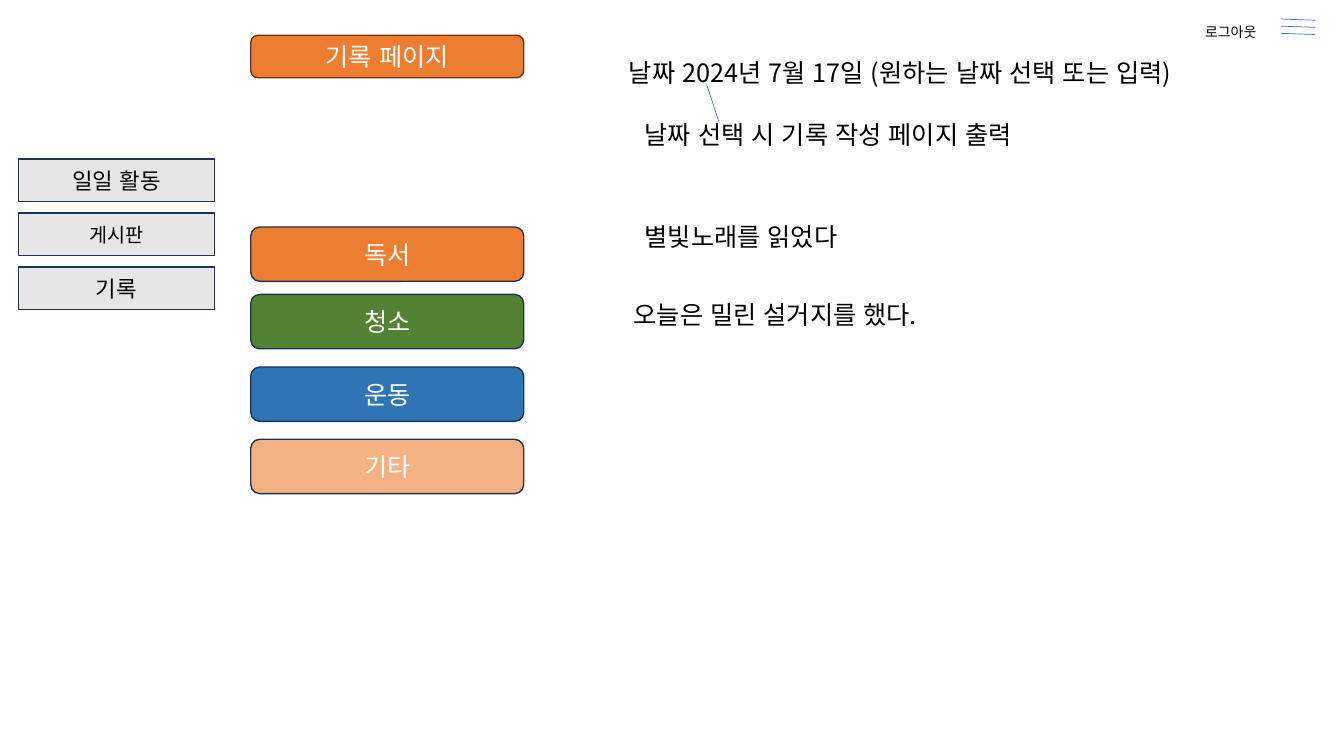
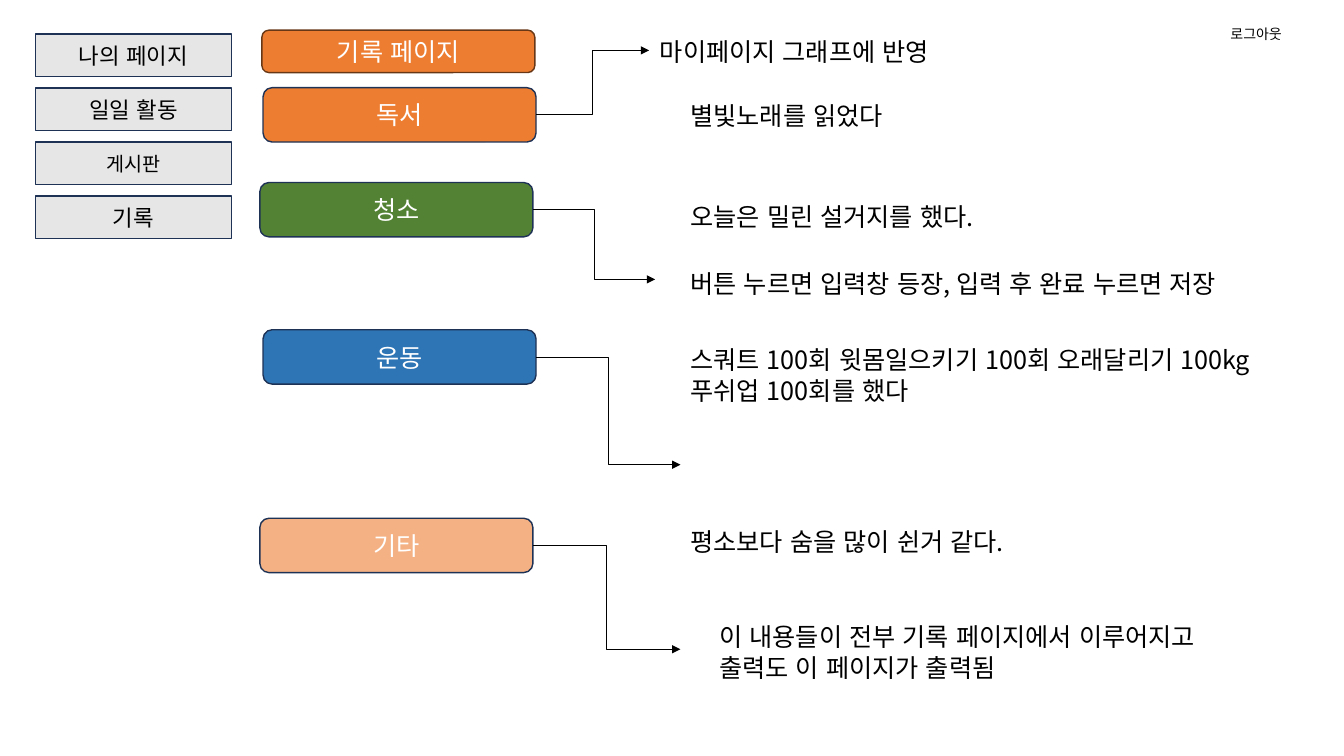
from dataclasses import dataclass

from lxml import etree
from pptx import Presentation
from pptx.dml.color import RGBColor
from pptx.enum import lang, shapes, text
from pptx.oxml import ns
from pptx.util import Cm, Pt


# Colours, type sizes and shared dimensions (cm)
@dataclass(frozen=True)
class Theme:
    font: str = "Noto Sans CJK KR"
    ink: str = "000000"
    white: str = "FFFFFF"
    gray: str = "E7E6E6"
    navy: str = "1E3256"
    brown: str = "683715"
    orange: str = "ED7D31"
    green: str = "548235"
    blue: str = "2E75B6"
    peach: str = "F4B183"
    accent: str = "4472C4"
    tiny: int = 10
    small: int = 14
    menu: int = 16
    main: int = 18
    tab: tuple = (4.95, 1.07)
    head: tuple = (6.88, 1.07)
    card: tuple = (6.88, 1.37)
    step: float = 1.36


T = Theme()
RECT = shapes.MSO_SHAPE.RECTANGLE
ROUND = shapes.MSO_SHAPE.ROUNDED_RECTANGLE
CARDS = {"독서": T.orange, "청소": T.green, "운동": T.blue, "기타": T.peach}
MENU = {"나의 페이지": T.menu, "일일 활동": T.menu,
        "게시판": T.small, "기록": T.menu}


def rgb(code):
    return RGBColor.from_string(code)


def sub(node, tag, **attrs):
    return etree.SubElement(node, ns.qn(tag), attrs)


# Text
def write(shape, words, size=T.main, color=T.ink, center=False):
    frame = shape.text_frame
    frame.word_wrap = True
    frame.vertical_anchor = (text.MSO_ANCHOR.MIDDLE if center
                             else text.MSO_ANCHOR.TOP)
    for i, line in enumerate(words.split("\n")):
        para = frame.add_paragraph() if i else frame.paragraphs[0]
        para.alignment = text.PP_ALIGN.CENTER if center else text.PP_ALIGN.LEFT
        run = para.add_run()
        run.text = line
        font = run.font
        font.size, font.name = Pt(size), T.font
        font.color.rgb = rgb(color)
        font.language_id = lang.MSO_LANGUAGE_ID.KOREAN
        sub(run._r.get_or_add_rPr(), "a:ea", typeface=T.font)


def note(slide, words, x, y, w, size=T.main):
    box = slide.shapes.add_textbox(Cm(x), Cm(y), Cm(w), Cm(1.02))
    write(box, words, size=size)
    box.text_frame.auto_size = text.MSO_AUTO_SIZE.SHAPE_TO_FIT_TEXT


# Boxes
def block(slide, kind, x, y, dims, fill, line=T.navy):
    box = slide.shapes.add_shape(kind, Cm(x), Cm(y), *map(Cm, dims))
    box.shadow.inherit = False
    box.fill.solid()
    box.fill.fore_color.rgb = rgb(fill)
    box.line.color.rgb = rgb(line)
    box.line.width = Pt(1)
    return box


def title(slide, x, y):
    block(slide, ROUND, x, y, T.head, T.orange, T.brown)
    head = slide.shapes.title
    head.left, head.top = Cm(x), Cm(y)
    head.width, head.height = map(Cm, T.head)
    write(head, "기록 페이지", color=T.white, center=True)
    head.text_frame.auto_size = text.MSO_AUTO_SIZE.NONE
    # Bring the title in front of its band
    head._element.getparent().append(head._element)


def menu(slide, x, y, names):
    for i, name in enumerate(names):
        tab = block(slide, RECT, x, y + i * T.step, T.tab, T.gray)
        write(tab, name, size=MENU[name], center=True)


def card(slide, name, x, y):
    box = block(slide, ROUND, x, y, T.card, CARDS[name])
    write(box, name, color=T.white, center=True)
    return box


# Lines
def wire(slide, start, end, color=T.accent, kind=shapes.MSO_CONNECTOR.STRAIGHT):
    line = slide.shapes.add_connector(kind, *map(Cm, start + end))
    line.line.color.rgb = rgb(color)
    line.line.width = Pt(0.5)
    sub(line._element.spPr, "a:effectLst")
    return line


def arrow(slide, box, end):
    line = wire(slide, (13.49, end[1]), end, T.ink, shapes.MSO_CONNECTOR.ELBOW)
    line.begin_connect(box, 3)
    sub(line.line._get_or_add_ln(), "a:tailEnd", type="triangle")


# Slides
def page(deck, head, logout, tabs, names):
    slide = deck.slides.add_slide(deck.slide_layouts[5])
    title(slide, *head)
    note(slide, "로그아웃", *logout, 2.11, size=T.tiny)
    menu(slide, *tabs, names)
    return slide


def pick(deck):
    slide = page(deck, (6.32, 0.89), (30.12, 0.46), (0.46, 4.01),
                 list(MENU)[1:])
    for name, y in zip(CARDS, (5.72, 7.42, 9.25, 11.07)):
        card(slide, name, 6.32, y)
    for words, x, y, w in (
        ("날짜 2024년 7월 17일 (원하는 날짜 선택 또는 입력)", 15.6, 1.32, 15.44),
        ("날짜 선택 시 기록 작성 페이지 출력", 16, 2.87, 16.94),
        ("별빛노래를 읽었다", 16, 5.46, 6.88),
        ("오늘은 밀린 설거지를 했다.", 15.72, 7.42, 8.38),
    ):
        note(slide, words, x, y, w)
    wire(slide, (17.81, 2.13), (18.11, 3.05))
    # Menu icon
    for i in range(3):
        y = 0.48 + i * 0.18
        wire(slide, (32.28, y), (33.15, y + 0.03))


def flow(deck):
    slide = page(deck, (6.6, 0.76), (30.76, 0.53), (0.89, 0.86), MENU)
    for name, x, y, end in (
        ("독서", 6.63, 2.21, (16.36, 1.27)),
        ("청소", 6.55, 4.6, (16.51, 7.04)),
        ("운동", 6.63, 8.31, (17.15, 11.71)),
        ("기타", 6.55, 13.06, (17.15, 16.36)),
    ):
        arrow(slide, card(slide, name, x, y), end)
    for words, x, y, w in (
        ("마이페이지 그래프에 반영", 16.38, 0.79, 10.74),
        ("별빛노래를 읽었다", 17.15, 2.41, 7.9),
        ("오늘은 밀린 설거지를 했다.", 17.15, 4.95, 8.38),
        ("버튼 누르면 입력창 등장, 입력 후 완료 누르면 저장", 17.15, 6.63, 15.29),
        ("스쿼트 100회 윗몸일으키기 100회 오래달리기 100kg 푸쉬업 100회를 했다",
         17.15, 8.56, 15.57),
        ("평소보다 숨을 많이 쉰거 같다.", 17.15, 13.13, 9.68),
        ("이 내용들이 전부 기록 페이지에서 이루어지고\n출력도 이 페이지가 출력됨",
         17.88, 15.54, 13.84),
    ):
        note(slide, words, x, y, w)


def main():
    deck = Presentation()
    deck.slide_width, deck.slide_height = Cm(33.87), Cm(19.05)
    pick(deck)
    flow(deck)
    deck.save("out.pptx")


if __name__ == "__main__":
    main()
